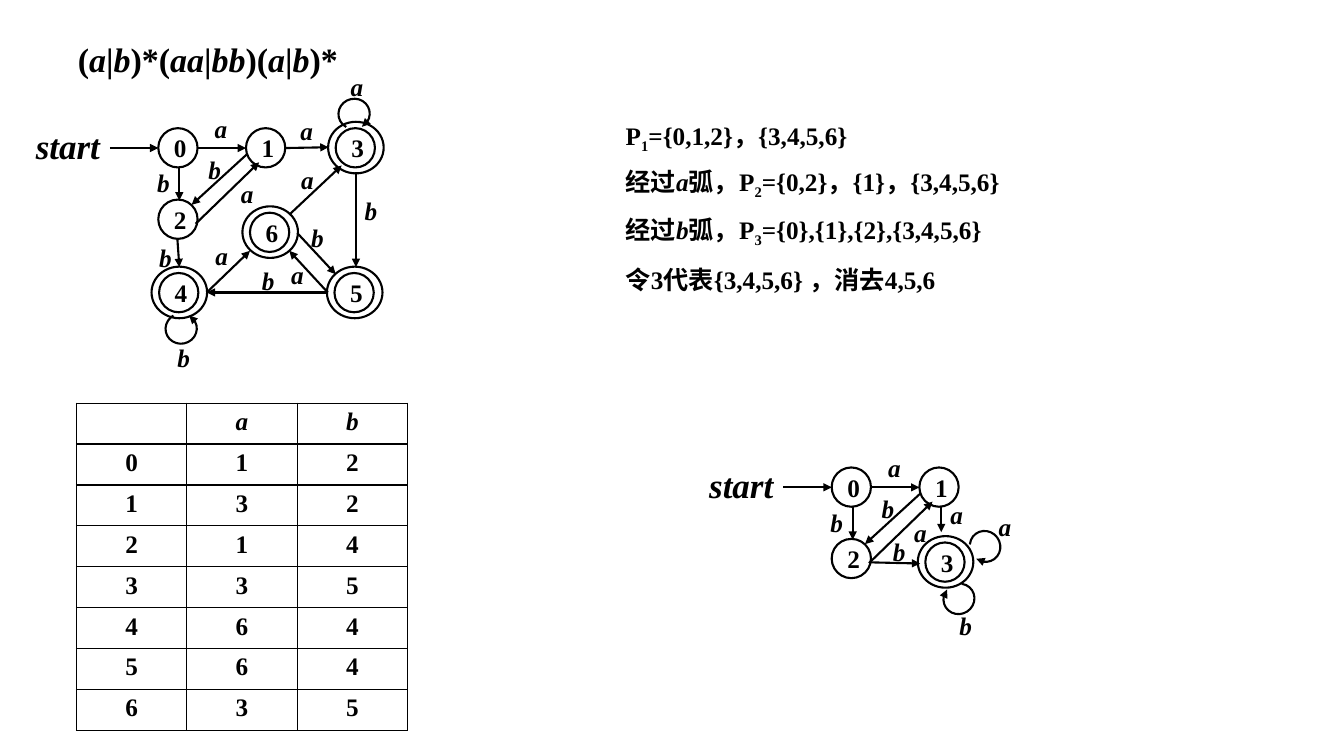
from dataclasses import dataclass
from itertools import groupby
from typing import Any, NamedTuple

from lxml import etree
from pptx import Presentation
from pptx import util as u
from pptx.dml.color import RGBColor
from pptx.enum import shapes, text
from pptx.oxml.ns import qn

BLACK = RGBColor(0, 0, 0)
LATIN, CHINESE = "Times New Roman", "Noto Sans CJK SC"
NODE_SIZE, RING_SIZE = 0.99, (1.4, 1.3)
LOOP_SIZE = (0.79, 0.76)


class Run(NamedTuple):
    text: str
    italic: bool = False
    subscript: bool = False


class Node(NamedTuple):
    name: str
    x: float
    y: float
    accepting: bool = False


class Edge(NamedTuple):
    x1: float
    y1: float
    x2: float
    y2: float


class Label(NamedTuple):
    letter: str
    x: float
    y: float
    low: bool = False
    height: float = 0.97


class Loop(NamedTuple):
    x: float
    y: float
    rotation: float
    arrow: str = "tailEnd"


@dataclass
class Automaton:
    nodes: list[Node]
    edges: list[Edge]
    labels: list[Label]
    loops: list[Loop]


# States 0, 1 and 2 with their arcs are common to both diagrams.
CORE = Automaton(
    [Node("0", 3.99, 3.23), Node("1", 6.2, 3.23), Node("2", 3.99, 5.03)],
    [Edge(2.77, 3.73, 3.99, 3.73), Edge(4.98, 3.73, 6.2, 3.73),
     Edge(4.52, 4.22, 4.52, 5.05), Edge(6.22, 3.89, 4.83, 5.16),
     Edge(4.93, 5.64, 6.53, 4.09)],
    [Label("a", 5.16, 2.72), Label("b", 3.71, 4.14, True),
     Label("b", 5.0, 3.81, True), Label("a", 5.82, 4.37)],
    [],
)
FULL = Automaton(
    [Node("3", 8.46, 3.23, True), Node("4", 4.01, 6.88, True),
     Node("5", 8.43, 6.88, True), Node("6", 6.3, 5.36, True)],
    [Edge(7.21, 3.73, 8.28, 3.71), Edge(4.47, 6.02, 4.52, 6.73),
     Edge(8.97, 4.34, 8.97, 6.73), Edge(5.21, 7.37, 6.3, 6.32),
     Edge(8.26, 7.37, 7.29, 6.32), Edge(8.23, 7.37, 5.21, 7.37),
     Edge(7.29, 5.41, 8.61, 4.17), Edge(7.49, 5.87, 8.46, 6.91)],
    [Label("a", 7.32, 2.79), Label("b", 3.76, 6.02, True),
     Label("a", 8.59, 1.68), Label("b", 8.94, 4.85, True),
     Label("a", 5.18, 5.92), Label("b", 4.22, 8.51),
     Label("a", 7.09, 6.4), Label("b", 6.35, 6.55),
     Label("a", 7.34, 4.01), Label("b", 7.59, 5.51, True)],
    [Loop(8.53, 2.49, 347.3), Loop(4.17, 7.9, 167.7, "headEnd")],
)
MINIMAL = Automaton(
    [Node("3", 23.32, 13.67, True)],
    [Edge(21.92, 14.17, 23.19, 14.2), Edge(23.72, 12.78, 23.72, 13.41)],
    [Label("a", 23.7, 12.47), Label("a", 24.92, 12.75),
     Label("b", 22.25, 12.95, True, 1.45), Label("b", 23.93, 15.29, True)],
    [Loop(24.43, 13.39, 53.7), Loop(23.77, 14.71, 146.7)],
)
MINIMAL_SHIFT = (16.97, 8.55)

TRANSITIONS = [" ab", "012", "132", "214", "335", "464", "564", "635"]
PARTITIONS = [
    (2.9, [Run("P"), Run("1", subscript=True), Run("={0,1,2}，{3,4,5,6}")]),
    (4.06, [Run("经过"), Run("a", True), Run("弧，P"), Run("2", subscript=True),
            Run("={0,2}，{1}，{3,4,5,6}")]),
    (5.28, [Run("经过"), Run("b", True), Run("弧，P"), Run("3", subscript=True),
            Run("={0},{1},{2},{3,4,5,6}")]),
    (6.53, [Run("令3代表{3,4,5,6} ，消去4,5,6")]),
]


def write(paragraph: Any, content: str, *, size: float = 18, italic: bool = False,
          subscript: bool = False) -> None:
    run = paragraph.add_run()
    run.text = content
    font = run.font
    font.name, font.size, font.bold, font.italic = LATIN, u.Pt(size), True, italic
    font.color.rgb = BLACK
    properties = run._r.get_or_add_rPr()
    etree.SubElement(properties, qn("a:ea"), typeface=CHINESE)
    if subscript:
        properties.set("baseline", "-25000")


def text_frame(parent: Any, x: float, y: float, width: float, height: float) -> Any:
    frame = parent.add_textbox(u.Cm(x), u.Cm(y), u.Cm(width), u.Cm(height)).text_frame
    frame.word_wrap = True
    return frame


def set_low(frame: Any) -> None:
    """Rest justified text of fixed line height on the bottom of its box."""
    frame.vertical_anchor = text.MSO_ANCHOR.BOTTOM
    frame.paragraphs[0].alignment = text.PP_ALIGN.JUSTIFY
    frame.paragraphs[0].line_spacing = u.Pt(40)


def outline(line: Any) -> None:
    line.color.rgb = BLACK
    line.width = u.Pt(1.5)


def add_outlined(parent: Any, preset: Any, x: float, y: float,
                 width: float, height: float) -> Any:
    shape = parent.add_shape(preset, u.Cm(x), u.Cm(y), u.Cm(width), u.Cm(height))
    shape.shadow.inherit = False
    shape.fill.background()
    outline(shape.line)
    return shape


def add_arrowhead(line: Any, end: str) -> None:
    etree.SubElement(line._get_or_add_ln(), qn(f"a:{end}"), type="triangle")


def draw(parent: Any, automaton: Automaton, dx: float = 0, dy: float = 0) -> None:
    oval = shapes.MSO_SHAPE.OVAL
    for node in automaton.nodes:
        x, y = node.x + dx, node.y + dy
        state = add_outlined(parent, oval, x, y, NODE_SIZE, NODE_SIZE).text_frame
        state.vertical_anchor = text.MSO_ANCHOR.MIDDLE
        state.paragraphs[0].alignment = text.PP_ALIGN.CENTER
        write(state.paragraphs[0], node.name)
        if node.accepting:
            add_outlined(parent, oval, x - 0.19, y - 0.16, *RING_SIZE)
    for edge in automaton.edges:
        arrow = parent.add_connector(
            shapes.MSO_CONNECTOR.STRAIGHT, u.Cm(edge.x1 + dx), u.Cm(edge.y1 + dy),
            u.Cm(edge.x2 + dx), u.Cm(edge.y2 + dy))
        outline(arrow.line)
        add_arrowhead(arrow.line, "tailEnd")
        etree.SubElement(arrow._element.spPr, qn("a:effectLst"))
    for label in automaton.labels:
        size = (0.74, label.height) if label.low else (1.32, 1.02)
        frame = text_frame(parent, label.x + dx, label.y + dy, *size)
        if label.low:
            set_low(frame)
        write(frame.paragraphs[0], label.letter, italic=True)
    for loop in automaton.loops:
        arc = add_outlined(parent, shapes.MSO_SHAPE.ARC, loop.x + dx, loop.y + dy, *LOOP_SIZE)
        arc.adjustments[0], arc.adjustments[1] = 80.25, 42.92
        arc.rotation = loop.rotation
        add_arrowhead(arc.line, loop.arrow)


def draw_core(parent: Any, dx: float = 0, dy: float = 0) -> None:
    start = text_frame(parent, 0.76 + dx, 3.35 + dy, 1.9, 0.61)
    start.word_wrap = False
    start.margin_left = start.margin_right = 0
    start.vertical_anchor = text.MSO_ANCHOR.MIDDLE
    start.paragraphs[0].alignment = text.PP_ALIGN.CENTER
    write(start.paragraphs[0], "start", size=25, italic=True)
    draw(parent, CORE, dx, dy)


def add_transition_table(parent: Any) -> None:
    table = parent.add_table(len(TRANSITIONS), 3, u.Cm(1.93), u.Cm(10.16),
                             u.Cm(8.34), u.Cm(8.24)).table
    table.first_row = table.horz_banding = False
    for r, row in enumerate(TRANSITIONS):
        for c, entry in enumerate(row):
            cell = table.cell(r, c)
            properties = cell._tc.get_or_add_tcPr()
            for side in ("lnL", "lnR", "lnT", "lnB"):
                border = etree.SubElement(properties, qn(f"a:{side}"), w=str(u.Pt(1)))
                fill = etree.SubElement(border, qn("a:solidFill"))
                etree.SubElement(fill, qn("a:srgbClr"), val=str(BLACK))
            cell.fill.background()
            cell.text_frame.paragraphs[0].alignment = text.PP_ALIGN.CENTER
            if entry.strip():
                write(cell.text_frame.paragraphs[0], entry, italic=entry.isalpha())


def main() -> None:
    deck = Presentation()
    deck.slide_width, deck.slide_height = u.Cm(33.87), u.Cm(19.05)
    slide = deck.slides.add_slide(deck.slide_layouts[5])

    title = slide.shapes.title
    title.left, title.top, title.width, title.height = map(u.Cm, (1.71, 0.61, 25.2, 1.52))
    title.text_frame.auto_size = text.MSO_AUTO_SIZE.NONE
    set_low(title.text_frame)
    for is_letter, part in groupby("(a|b)*(aa|bb)(a|b)*", str.isalpha):
        write(title.text_frame.paragraphs[0], "".join(part), size=24.3, italic=is_letter)

    draw_core(slide.shapes)
    draw(slide.shapes, FULL)
    add_transition_table(slide.shapes)
    for top, runs in PARTITIONS:
        line = text_frame(slide.shapes, 15.52, top, 18.3, 1.02).paragraphs[0]
        for run in runs:
            write(line, run.text, italic=run.italic, subscript=run.subscript)
    minimal = slide.shapes.add_group_shape().shapes
    draw_core(minimal, *MINIMAL_SHIFT)
    draw(minimal, MINIMAL)
    deck.save("out.pptx")


if __name__ == "__main__":
    main()
